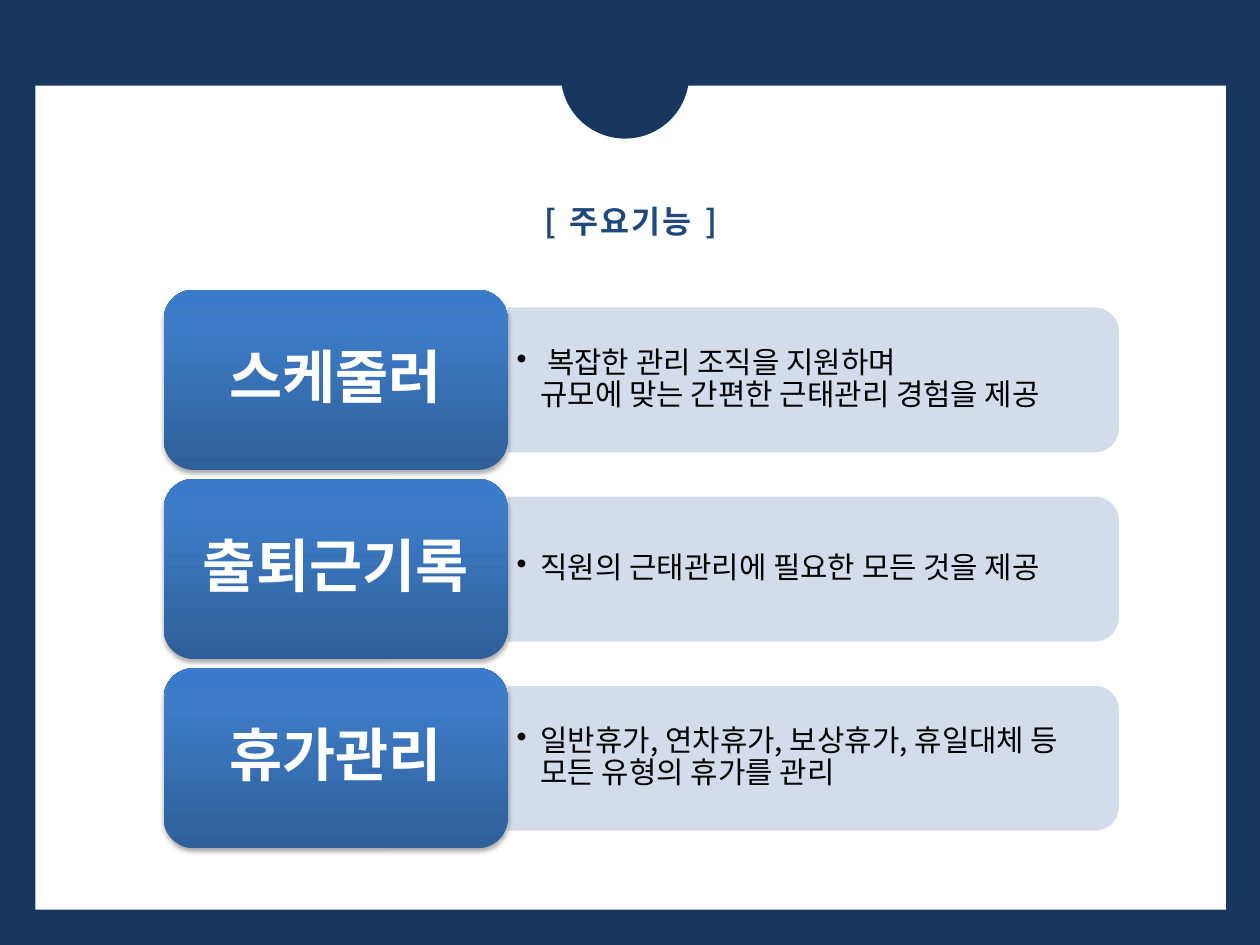
from lxml import etree
from pptx import Presentation, util as u
from pptx.dml.color import RGBColor
from pptx.enum import shapes, text
from pptx.oxml import parse_xml
from pptx.oxml.ns import nsdecls, qn

COLORS = {"navy": "17375E", "white": "FFFFFF", "title": "1F497D",
          "panel": "D0D8E8", "black": "000000",
          "card_low": "2F5F99", "card_mid": "3D7CC7", "card_top": "3A7CCB"}
FONT = "Noto Sans CJK KR"
FEATURES = [
    ("스케줄러", " 복잡한 관리 조직을 지원하며\v규모에 맞는 간편한 근태관리 경험을 제공"),
    ("출퇴근기록", "직원의 근태관리에 필요한 모든 것을 제공"),
    ("휴가관리", "일반휴가, 연차휴가, 보상휴가, 휴일대체 등 모든 유형의 휴가를 관리"),
]


def add_block(kind, left, top, width, height, color):
    block = page.shapes.add_shape(kind, *map(u.Inches, (left, top, width, height)))
    block.fill.solid()
    block.fill.fore_color.rgb = RGBColor.from_string(COLORS[color])
    block.line.fill.background()
    block.shadow.inherit = False
    return block


def write(box, words, size, color, bold, align, margins):
    frame = box.text_frame
    frame.word_wrap = True
    frame.vertical_anchor = text.MSO_ANCHOR.MIDDLE
    frame.margin_left = frame.margin_right = u.Inches(margins[0])
    frame.margin_top = frame.margin_bottom = u.Inches(margins[1])
    para = frame.paragraphs[0]
    para.text = words
    para.alignment = align
    para.font.name, para.font.size, para.font.bold = FONT, u.Pt(size), bold
    para.font.color.rgb = RGBColor.from_string(COLORS[color])
    # Korean letters take the East Asian typeface
    defaults = para._p.pPr.find(qn("a:defRPr"))
    etree.SubElement(defaults, qn("a:ea"), typeface=FONT)
    return para


deck = Presentation()
deck.slide_width, deck.slide_height = u.Inches(10), u.Inches(7.5)
page = deck.slides.add_slide(deck.slide_layouts[5])

# Navy backdrop, white sheet and round notch
page.background.fill.solid()
page.background.fill.fore_color.rgb = RGBColor.from_string(COLORS["navy"])
add_block(shapes.MSO_SHAPE.RECTANGLE, 0.28, 0.68, 9.45, 6.54, "white")
add_block(shapes.MSO_SHAPE.OVAL, 4.45, 0.08, 1.02, 1.02, "navy")

# Title, raised above the sheet
title = page.shapes.title
title.left, title.top, title.width, title.height = map(u.Inches, (2.72, 1.55, 4.57, 0.4))
para = write(title, "[   주 요 기 능   ]", 18, "title", True, text.PP_ALIGN.CENTER, (0.1, 0.05))
para.runs[0]._r.get_or_add_rPr().set("spc", "-150")
page.shapes._spTree.append(title._element)

# Feature rows: a card on the left, a panel with one bullet on the right
card_left, card_top, card_width, card_height = 1.3, 2.3, 2.73, 1.43
panel_left, panel_width, panel_height = card_left + card_width, 4.85, 1.15
row_pitch = card_height * 1.05

for row, (name, detail) in enumerate(FEATURES):
    top = card_top + row * row_pitch
    middle = top + card_height / 2

    # Panel: a shape with two round top corners, turned to the right
    panel = add_block(shapes.MSO_SHAPE.ROUND_2_SAME_RECTANGLE,
                      panel_left + (panel_width - panel_height) / 2,
                      middle - panel_width / 2, panel_height, panel_width, "panel")
    panel.rotation = 90
    tint = panel._element.spPr.find(qn("a:solidFill"))[0]
    etree.SubElement(tint, qn("a:alpha"), val="90000")

    # Bullet text
    box = page.shapes.add_textbox(*map(u.Inches, (panel_left, middle - 0.515, 4.8, 1.03)))
    para = write(box, detail, 17, "black", False, text.PP_ALIGN.LEFT, (0.07, 0.04))
    para.line_spacing = 0.9
    settings = para._p.pPr
    settings.set("marL", str(u.Inches(0.19)))
    settings.set("indent", str(-u.Inches(0.19)))
    bullet = etree.Element(qn("a:buChar"), char="•")
    settings.find(qn("a:defRPr")).addprevious(bullet)

    # Card with upward gradient and soft shadow
    card = add_block(shapes.MSO_SHAPE.ROUNDED_RECTANGLE, card_left, top,
                     card_width, card_height, "card_mid")
    stops = "".join(
        f'<a:gs pos="{share * 1000}"><a:srgbClr val="{COLORS[color]}"/></a:gs>'
        for share, color in ((0, "card_low"), (80, "card_mid"), (100, "card_top")))
    look = card._element.spPr
    look.replace(look.find(qn("a:solidFill")), parse_xml(
        f'<a:gradFill {nsdecls("a")} rotWithShape="1"><a:gsLst>{stops}</a:gsLst>'
        '<a:lin ang="16200000" scaled="0"/></a:gradFill>'))
    look.replace(look.find(qn("a:effectLst")), parse_xml(
        f'<a:effectLst {nsdecls("a")}><a:outerShdw blurRad="40000" dist="23000" '
        f'dir="5400000" rotWithShape="0"><a:srgbClr val="{COLORS["black"]}">'
        '<a:alpha val="35000"/></a:srgbClr></a:outerShdw></a:effectLst>'))
    para = write(card, name, 33, "white", True, text.PP_ALIGN.CENTER, (0.14, 0.07))
    para.line_spacing = 0.9

deck.save("out.pptx")
